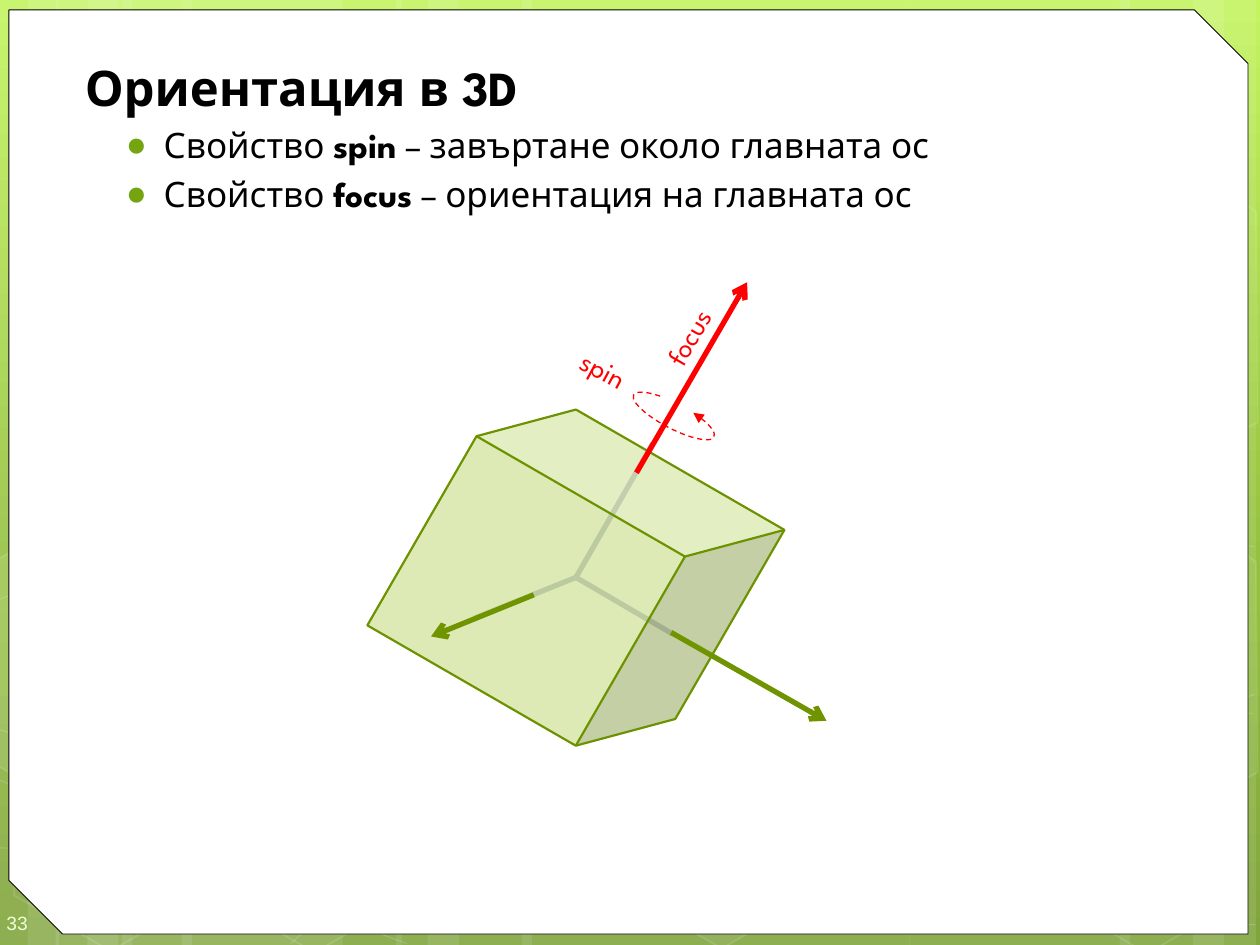
from copy import deepcopy

from lxml import etree
from pptx import Presentation
from pptx.dml.color import RGBColor
from pptx.enum.dml import MSO_LINE
from pptx.enum.shapes import MSO_CONNECTOR, MSO_SHAPE
from pptx.enum.text import MSO_ANCHOR
from pptx.oxml.ns import qn
from pptx.util import Cm, Pt

STRAIGHT = MSO_CONNECTOR.STRAIGHT
RECTANGLE = MSO_SHAPE.RECTANGLE
HEXAGON = MSO_SHAPE.HEXAGON
SNIPPED = MSO_SHAPE.SNIP_2_DIAG_RECTANGLE
ARC = MSO_SHAPE.ARC
CHEVRON = MSO_SHAPE.CHEVRON
CUBE = MSO_SHAPE.CUBE
DASH = MSO_LINE.DASH
MIDDLE = MSO_ANCHOR.MIDDLE

WIDTH, HEIGHT = 25.4, 19.05
FONT = "League Spartan"
WHITE, BLACK, RED = "FFFFFF", "000000", "FF0000"
HIDDEN_AXIS, AXIS, EDGE = "AAB0C8", "6F9400", "6D9200"

STRIP_GROUPS = [(-0.08, 4.45, False), (1.12, 4.45, False),
                (0.08, 4.45, True), (7.98, 7.82, False)]
HEXAGONS = [
    (8.26, 7.95, 10, 12), (10.26, 11.46, 0, 12), (10.29, 4.42, 7, 8),
    (8.2, 0.91, 4, 8), (12.32, 14.96, 6, 12), (0, 15.01, 0, 12),
    (0.08, 7.92, 7, 8), (2.08, 11.46, 0, 12), (4.11, 15.04, 0, 12),
    (4.19, 7.95, 7, 8), (2.13, 4.34, 0, 12), (18.85, 11.51, 10, 12),
    (20.9, 15.06, 0, 12), (20.9, 7.98, 7, 8)]
LEFT_CUT = [(-0.08, 11.3), (0.2, 11.13), (2.16, 12.24), (2.13, 14.48),
            (0.23, 15.6), (-0.08, 15.42)]
RIGHT_CUT = [(23.24, 12.32), (25.15, 11.2), (25.32, 11.33), (25.35, 15.57),
             (25.17, 15.67), (23.22, 14.55)]
WAVES = [
    [(-0.1, 17.09), (4.55, 17.22), (11.35, 16.89), (19.81, 15.67), (25.3, 14)],
    [(-0.1, 12.12), (2.79, 10.95), (8.53, 9.83), (16.33, 9.83), (25.3, 11.02)],
    [(-0.13, 15.67), (4.34, 17.62), (8.2, 19.02)],
    [(-0.1, 14.68), (2.97, 15.65), (8.76, 17.09), (15.67, 18.24),
     (21.36, 18.69), (25.3, 18.64)],
    [(5.87, 19.02), (7.39, 17.55), (9.55, 16.23), (11.63, 15.47),
     (15.16, 14.68), (19.89, 14.27), (25.27, 14.38)]]


def paint(fill, color, opacity=100):
    if not opacity or color is None:
        fill.background()
        return
    fill.solid()
    fill.fore_color.rgb = RGBColor.from_string(color)
    if opacity < 100:
        rgb = fill._xPr.find(".//" + qn("a:srgbClr"))
        etree.SubElement(rgb, qn("a:alpha"), val=str(opacity * 1000))


def style(shape, fill=None, opacity=100, line=None, width=1, line_opacity=100):
    shape.shadow.inherit = False
    paint(shape.fill, fill, opacity)
    paint(shape.line.fill, line, line_opacity)
    if line:
        shape.line.width = Pt(width)
    return shape


def add_preset(slide, kind, box, rotation=0, adjustments=(), **look):
    shape = slide.shapes.add_shape(kind, *map(Cm, box))
    shape.rotation = rotation
    for index, value in enumerate(adjustments):
        shape.adjustments[index] = value
    return style(shape, **look)


def add_outline(slide, points, closed, **look):
    corners = [(Cm(x), Cm(y)) for x, y in points]
    builder = slide.shapes.build_freeform(*corners[0])
    builder.add_line_segments(corners[1:], close=closed)
    return style(builder.convert_to_shape(), **look)


def add_arrowhead(shape, kind):
    etree.SubElement(shape.line._get_or_add_ln(), qn("a:tailEnd"), type=kind)


def add_axis(slide, start, end, color, arrow=False):
    axis = slide.shapes.add_connector(STRAIGHT, *map(Cm, start + end))
    paint(axis.line.fill, color)
    axis.line.width = Pt(3)
    if arrow:
        add_arrowhead(axis, "arrow")
    etree.SubElement(axis.element.spPr, qn("a:effectLst"))


def set_font(font, size, color, name=FONT, bold=False):
    font.size, font.name, font.bold = Pt(size), name, bold
    font.color.rgb = RGBColor.from_string(color)


def add_axis_label(slide, text, left, top, rotation):
    label = add_preset(slide, CHEVRON, (left, top, 2.29, 1.02), rotation, [0])
    label.text_frame.vertical_anchor = MIDDLE
    paragraph = label.text_frame.paragraphs[0]
    paragraph.text = text
    paragraph._p.get_or_add_pPr().set("algn", "l")
    set_font(paragraph.font, 16, RED)


def add_bullet(frame, parts):
    paragraph = frame.add_paragraph()
    paragraph.level = 1
    properties = paragraph._p.get_or_add_pPr()
    properties.set("marL", str(Cm(1.78)))
    properties.set("indent", str(Cm(-0.76)))
    spacing = etree.SubElement(properties, qn("a:spcBef"))
    etree.SubElement(spacing, qn("a:spcPct"), val="20000")
    bullet_color = etree.SubElement(properties, qn("a:buClr"))
    etree.SubElement(bullet_color, qn("a:srgbClr"), val="74A510")
    etree.SubElement(properties, qn("a:buFont"), typeface="Arial")
    etree.SubElement(properties, qn("a:buChar"), char="●")
    for index, part in enumerate(parts):
        run = paragraph.add_run()
        run.text = part
        set_font(run.font, 20, BLACK, bold=index == 1)


def add_background(slide):
    fill = slide.background.fill
    fill.gradient()
    fill.gradient_angle = 270
    stops = slide.element.find(".//" + qn("a:gsLst"))
    stops.insert(1, deepcopy(stops[0]))
    colors = [(0, "C3F35F"), (0.62, "93BF3F"), (1, "81A53E")]
    for stop, (position, color) in zip(fill.gradient_stops, colors):
        stop.position = position
        stop.color.rgb = RGBColor.from_string(color)


def add_decoration(slide):
    for start, wide, mirrored in STRIP_GROUPS:
        for offset, width in ((2.54, wide), (0, 1.27), (0.64, 2.11)):
            left = start + offset
            if mirrored:
                left = WIDTH - left - width
            add_preset(slide, RECTANGLE, (left, 0, width, HEIGHT),
                       fill=WHITE, opacity=10)
    for knots in WAVES:
        add_outline(slide, knots, False, line=WHITE, width=0.5, line_opacity=20)
    for left, top, opacity, line_opacity in HEXAGONS:
        add_preset(slide, HEXAGON, (left, top, 4.45, 3.86), 30, (0.285, 1.155),
                   fill=WHITE, opacity=opacity, line=WHITE, line_opacity=line_opacity)
    upper_cut = [(x, y - 7.06) for x, y in RIGHT_CUT]
    for points, opacity in ((LEFT_CUT, 10), (RIGHT_CUT, 4), (upper_cut, 0)):
        add_outline(slide, points, True, fill=WHITE, opacity=opacity,
                    line=WHITE, line_opacity=12)
    add_preset(slide, SNIPPED, (0.18, 0.2, 24.98, 18.63), 0, (0, 0.058),
               fill=WHITE, line=BLACK, width=0.5)


def add_page_number(slide):
    frame = slide.shapes.add_textbox(*map(Cm, (0, 18.03, 1.47, 1.02))).text_frame
    frame.word_wrap = True
    frame.vertical_anchor = MIDDLE
    frame.margin_left, frame.margin_top = Cm(0.13), Cm(0.38)
    frame.margin_right, frame.margin_bottom = Cm(0), Cm(0.25)
    frame.text = "33"
    set_font(frame.paragraphs[0].font, 11, "EEFFD6", "Arial")


def add_body(slide):
    frame = slide.shapes.add_textbox(*map(Cm, (1.27, 1.04, 23.93, 17.81))).text_frame
    frame.word_wrap = True
    title = frame.paragraphs[0]
    title.text = "Ориентация в 3D"
    title._p.get_or_add_pPr().set("marL", str(Cm(0.19)))
    set_font(title.font, 28, BLACK, bold=True)
    add_bullet(frame, ("Свойство ", "spin ", "– завъртане около главната ос"))
    add_bullet(frame, ("Свойство ", "focus", " – ориентация на главната ос"))


def add_oriented_cube(slide):
    spin = add_preset(slide, ARC, (12.67, 8.13, 1.83, 0.51), 27.6, (91.402, 22.227),
                      line=RED, width=0.75)
    spin.line.dash_style = DASH
    spin.element.spPr.find(qn("a:xfrm")).set("flipV", "1")
    add_arrowhead(spin, "triangle")
    add_axis_label(slide, "spin", 11.4, 7.14, 28.5)
    center = (11.61, 11.64)
    top_exit, right_exit, front_exit = (12.83, 9.53), (13.53, 12.75), (10.76, 11.99)
    for end in ((13.16, 8.94), (13.56, 12.78), (9.55, 12.47)):
        add_axis(slide, center, end, HIDDEN_AXIS)
    add_axis_label(slide, "focus", 12.88, 6.03, 300)
    add_preset(slide, CUBE, (8.45, 8.71, 6.32, 5.87), 30,
               fill="C7DC84", opacity=60, line=EDGE, width=1.25)
    add_axis(slide, right_exit, (16.66, 14.53), AXIS, arrow=True)
    add_axis(slide, front_exit, (8.69, 12.83), AXIS, arrow=True)
    add_axis(slide, top_exit, (15.06, 5.69), RED, arrow=True)


def main():
    deck = Presentation()
    deck.slide_width, deck.slide_height = Cm(WIDTH), Cm(HEIGHT)
    slide = deck.slides.add_slide(deck.slide_layouts[6])
    add_background(slide)
    add_decoration(slide)
    add_page_number(slide)
    add_body(slide)
    add_oriented_cube(slide)
    deck.save("out.pptx")


if __name__ == "__main__":
    main()
